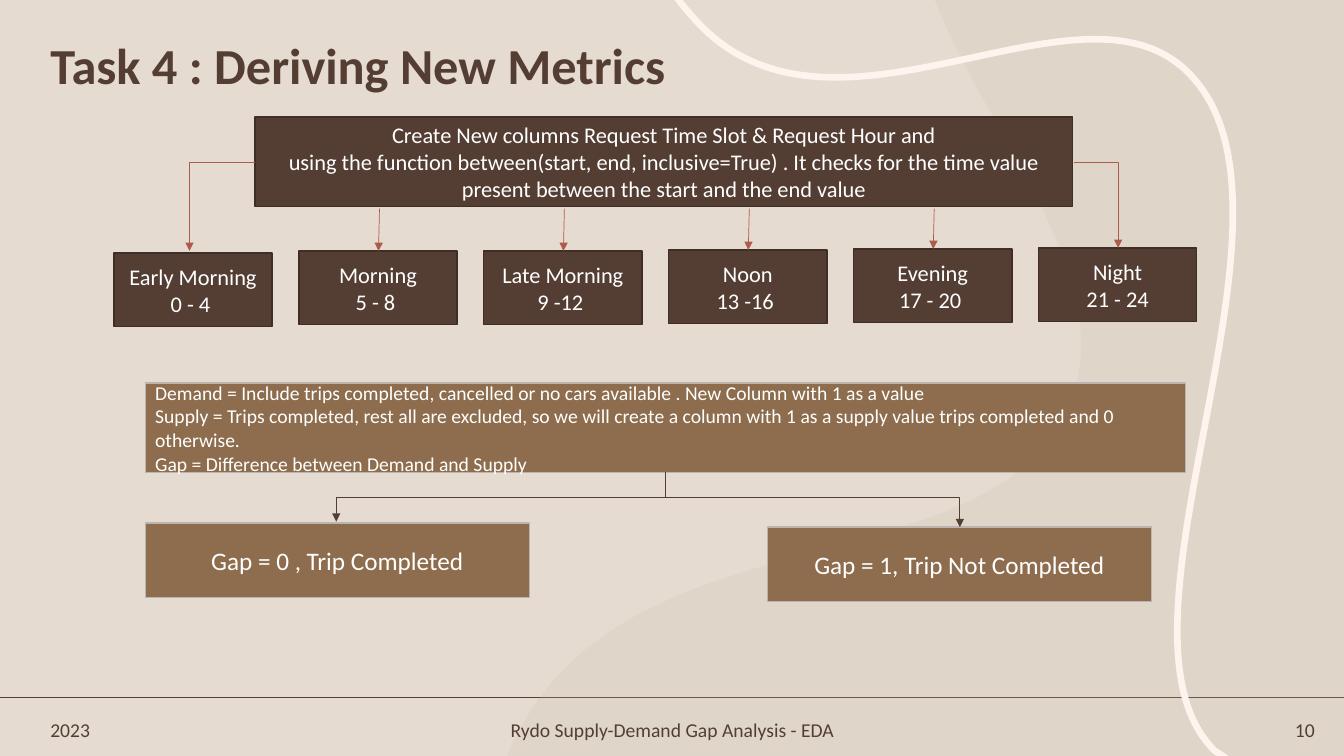
from dataclasses import dataclass

import pptx
import pptx.dml.color
import pptx.enum.shapes
import pptx.enum.text
import pptx.oxml
import pptx.oxml.ns
import pptx.shapes.autoshape
import pptx.shapes.connector
import pptx.slide
import pptx.text.text
import pptx.util
from pptx.dml.color import RGBColor
from pptx.enum.text import MSO_ANCHOR, PP_ALIGN
from pptx.util import Inches

Point = tuple[float, float]
Curve = tuple[Point, Point, Point]

SAND = RGBColor(0xE6, 0xDB, 0xD0)
SAGE = RGBColor(0xC6, 0xC4, 0xAF)
CREAM = RGBColor(0xFE, 0xF3, 0xED)
BROWN = RGBColor(0x54, 0x3E, 0x34)
DARK_BROWN = RGBColor(0x3E, 0x2E, 0x26)
TAN = RGBColor(0x8D, 0x6D, 0x4D)
GREY = RGBColor(0xBC, 0xB4, 0xAF)
RUST = RGBColor(0xAC, 0x5B, 0x4C)
WHITE = RGBColor(0xFF, 0xFF, 0xFF)

FONT = "Calibri"
NAMESPACE = pptx.oxml.ns.nsdecls("a")


@dataclass
class Box:
    left: float
    top: float
    width: float
    height: float
    lines: list[str]
    size: int
    fill: RGBColor = BROWN
    outline: RGBColor = DARK_BROWN
    alignment: PP_ALIGN = PP_ALIGN.CENTER


@dataclass
class Arrow:
    start: Point
    end: Point
    color: RGBColor = RUST
    geometry: str = "line"
    rotation: int = 0


@dataclass
class FooterItem:
    left: float
    width: float
    text: str
    alignment: PP_ALIGN


SLOT_LABELS = [
    (2.51, ["Early Morning", "0 - 4 "]),
    (2.49, ["Morning", "5 - 8 "]),
    (2.49, ["Late Morning", "9 -12 "]),
    (2.48, ["Noon", "13 -16 "]),
    (2.47, ["Evening", "17 - 20 "]),
    (2.46, ["Night", "21 - 24"]),
]
FIRST_SLOT, LAST_SLOT = 1.13, 10.3
SLOT_PITCH = (LAST_SLOT - FIRST_SLOT) / (len(SLOT_LABELS) - 1)
SLOTS = [
    Box(FIRST_SLOT + index * SLOT_PITCH, top, 1.57, 0.73, lines, 16)
    for index, (top, lines) in enumerate(SLOT_LABELS)
]

BOXES = [
    Box(2.53, 1.16, 8.11, 0.89, [
        "Create New columns Request Time Slot & Request Hour and",
        "using the function between(start, end, inclusive=True) . It checks for the time value "
        "present between the start and the end value",
    ], 16),
    *SLOTS,
    Box(1.44, 3.8, 10.32, 0.89, [
        "Demand = Include trips completed, cancelled or no cars available . New Column with 1 as a value",
        "Supply = Trips completed, rest all are excluded, so we will create a column with 1 as a "
        "supply value trips completed and 0 otherwise.",
        "Gap = Difference between Demand and Supply",
    ], 14, TAN, GREY, PP_ALIGN.LEFT),
    Box(1.44, 5.19, 3.81, 0.74, ["Gap = 0 , Trip Completed"], 18, TAN, GREY),
    Box(7.61, 5.23, 3.81, 0.74, ["Gap = 1, Trip Not Completed"], 18, TAN, GREY),
]

ARROWS = [
    Arrow((2.53, 1.61), (1.88, 2.49), geometry="bentConnector2"),
    Arrow((10.65, 1.61), (11.09, 2.46), geometry="bentConnector2"),
    *[Arrow((slot.left + 0.8, 2.07), (slot.left + 0.79, slot.top)) for slot in SLOTS[1:-1]],
    Arrow((4.72, 3.3), (5.21, 6.56), BROWN, "bentConnector3", 90),
    Arrow((6.59, 4.93), (9.52, 5.23), BROWN, "bentConnector2"),
]

FOOTER = [
    FooterItem(0.4, 1.08, "2023", PP_ALIGN.LEFT),
    FooterItem(4.79, 3.76, "Rydo Supply-Demand Gap Analysis - EDA", PP_ALIGN.CENTER),
    FooterItem(12.06, 1.08, "10", PP_ALIGN.RIGHT),
]

# Each curve is a pair of control points followed by its end point.
BLOB_START = (5.07, 7.4)
BLOB_CURVES = [
    ((5.11, 7.31), (5.15, 7.25), (5.17, 7.21)),
    ((6.31, 5.12), (9.62, 5.78), (10.52, 4.19)),
    ((11.23, 2.96), (9.88, 1.46), (9.32, 0.12)),
]
BLOB_CORNERS = [(9.27, 0), (13.33, 0), (13.33, 7.5), (5.03, 7.5)]
RIBBON_START = (12.17, 7.53)
RIBBON_CURVES = [
    ((12.14, 7.51), (12.1, 7.48), (12.05, 7.45)),
    ((10.84, 6.27), (13.07, 2.2), (11.85, 0.79)),
    ((10.78, -0.47), (8.2, 1.8), (6.83, 0.12)),
    ((6.8, 0.09), (6.76, 0.04), (6.71, -0.03)),
]


def add_curved_shape(slide: pptx.slide.Slide, start: Point, curves: list[Curve],
                     corners: list[Point]) -> pptx.shapes.autoshape.Shape:
    """Draw the curves, then straight sides through any corners back to the start."""
    ends = [curve[-1] for curve in curves]
    builder = slide.shapes.build_freeform(Inches(start[0]), Inches(start[1]))
    builder.add_line_segments(
        [(Inches(x), Inches(y)) for x, y in ends + corners], close=bool(corners))
    shape = builder.convert_to_shape()
    shape.shadow.inherit = False
    segments = list(shape._element.spPr.iter(pptx.oxml.ns.qn("a:lnTo")))
    for segment, curve in zip(segments, curves):
        points = "".join(
            f'<a:pt x="{Inches(x) - shape.left}" y="{Inches(y) - shape.top}"/>' for x, y in curve)
        segment.getparent().replace(segment, pptx.oxml.parse_xml(
            f"<a:cubicBezTo {NAMESPACE}>{points}</a:cubicBezTo>"))
    return shape


def add_line(slide: pptx.slide.Slide, start: Point, end: Point, color: RGBColor,
             width: float) -> pptx.shapes.connector.Connector:
    line = slide.shapes.add_connector(
        pptx.enum.shapes.MSO_CONNECTOR.STRAIGHT, *(Inches(value) for value in (*start, *end)))
    line.line.color.rgb = color
    line.line.width = pptx.util.Pt(width)
    line._element.spPr.append(pptx.oxml.parse_xml(f"<a:effectLst {NAMESPACE}/>"))
    return line


def add_arrow(slide: pptx.slide.Slide, arrow: Arrow) -> None:
    properties = add_line(slide, arrow.start, arrow.end, arrow.color, 0.5)._element.spPr
    properties.find(pptx.oxml.ns.qn("a:prstGeom")).set("prst", arrow.geometry)
    if arrow.rotation:
        properties.find(pptx.oxml.ns.qn("a:xfrm")).set("rot", str(arrow.rotation * 60000))
    properties.find(pptx.oxml.ns.qn("a:ln")).append(pptx.oxml.parse_xml(
        f'<a:tailEnd {NAMESPACE} type="triangle"/>'))


def write_text(frame: pptx.text.text.TextFrame, lines: list[str], size: int,
               color: RGBColor, alignment: PP_ALIGN) -> None:
    frame.text = "\n".join(lines)
    frame.word_wrap = True
    frame.auto_size = pptx.enum.text.MSO_AUTO_SIZE.NONE
    frame.vertical_anchor = MSO_ANCHOR.MIDDLE
    for paragraph in frame.paragraphs:
        paragraph.alignment = alignment
        paragraph.font.name = FONT
        paragraph.font.size = pptx.util.Pt(size)
        paragraph.font.color.rgb = color


def add_box(slide: pptx.slide.Slide, box: Box) -> None:
    shape = slide.shapes.add_shape(
        pptx.enum.shapes.MSO_SHAPE.RECTANGLE,
        Inches(box.left), Inches(box.top), Inches(box.width), Inches(box.height))
    shape.shadow.inherit = False
    shape.fill.solid()
    shape.fill.fore_color.rgb = box.fill
    shape.line.color.rgb = box.outline
    shape.line.width = pptx.util.Pt(1)
    write_text(shape.text_frame, box.lines, box.size, WHITE, box.alignment)


def add_backdrop(slide: pptx.slide.Slide) -> None:
    slide.background.fill.solid()
    slide.background.fill.fore_color.rgb = SAND
    add_line(slide, (0, 6.92), (13.33, 6.92), BROWN, 1.25)

    blob = add_curved_shape(slide, BLOB_START, BLOB_CURVES, BLOB_CORNERS)
    blob.fill.solid()
    blob.fill.fore_color.rgb = SAGE
    blob.line.fill.background()
    blob_color = next(blob._element.spPr.iter(pptx.oxml.ns.qn("a:srgbClr")))
    blob_color.append(pptx.oxml.parse_xml(f'<a:alpha {NAMESPACE} val="20000"/>'))

    ribbon = add_curved_shape(slide, RIBBON_START, RIBBON_CURVES, [])
    ribbon.fill.background()
    ribbon.line.color.rgb = CREAM
    ribbon.line.width = pptx.util.Pt(4.75)


def add_title(slide: pptx.slide.Slide) -> None:
    title = slide.shapes.title
    title.left, title.top, title.width, title.height = map(Inches, (0.4, 0.12, 11.5, 0.74))
    write_text(title.text_frame, ["Task 4 : Deriving New Metrics"], 36, BROWN, PP_ALIGN.LEFT)
    paragraph = title.text_frame.paragraphs[0]
    paragraph.font.bold = True
    paragraph.line_spacing = 1.5


def main() -> None:
    presentation = pptx.Presentation()
    presentation.slide_width, presentation.slide_height = Inches(13.33), Inches(7.5)
    slide = presentation.slides.add_slide(presentation.slide_layouts.get_by_name("Title Only"))
    add_backdrop(slide)
    add_title(slide)
    for item in FOOTER:
        text_box = slide.shapes.add_textbox(
            Inches(item.left), Inches(7.07), Inches(item.width), Inches(0.34))
        write_text(text_box.text_frame, [item.text], 14, BROWN, item.alignment)
    for box in BOXES:
        add_box(slide, box)
    for arrow in ARROWS:
        add_arrow(slide, arrow)
    presentation.save("out.pptx")


if __name__ == "__main__":
    main()
